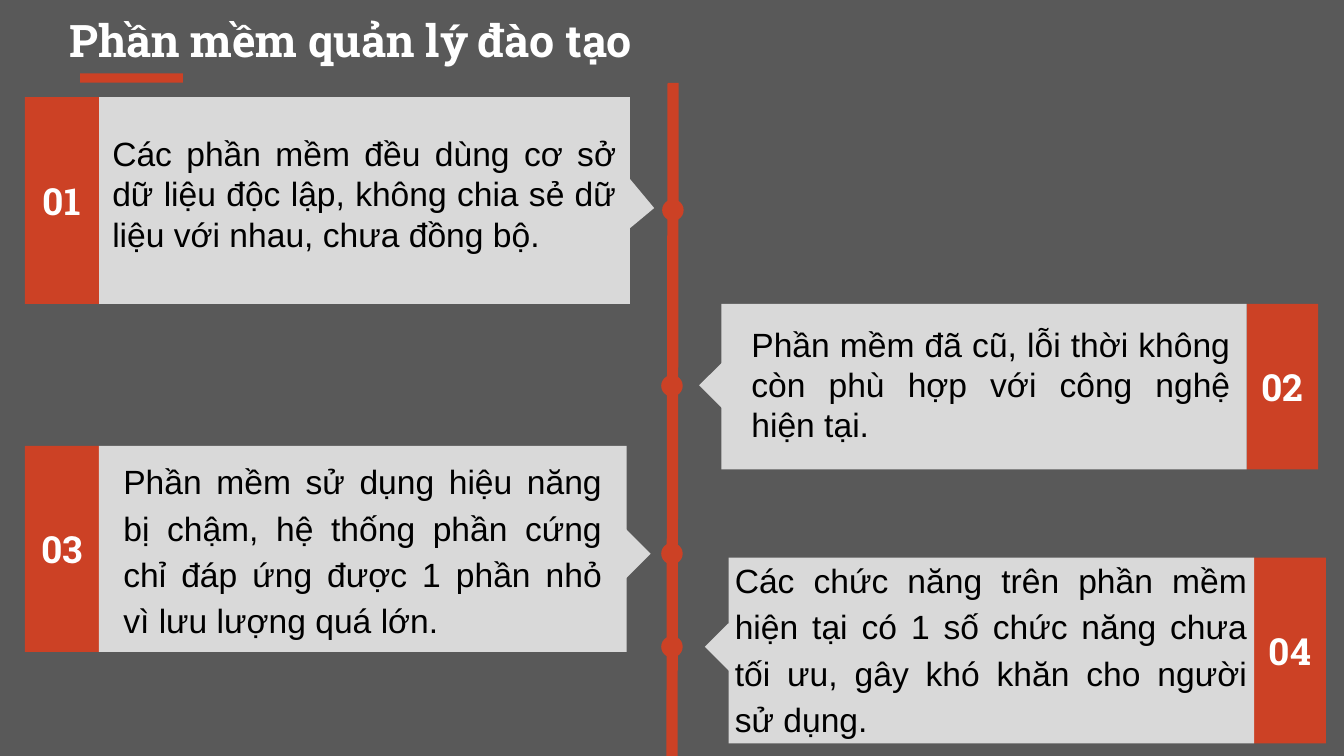
"""Build a timeline slide about training management software."""
from lxml.etree import SubElement
from pptx import Presentation
from pptx.dml.color import RGBColor
from pptx.enum.shapes import MSO_CONNECTOR as Conn, MSO_SHAPE as Kind
from pptx.enum.text import MSO_ANCHOR as Anchor, PP_ALIGN as Align
from pptx.oxml.ns import qn
from pptx.util import Pt

COLORS = {"back": "595959", "accent": "CC4125", "panel": "D9D9D9",
          "light": "FFFFFF", "dark": "000000"}
SLAB, SANS = "Roboto Slab", "Arial"
TITLE = "Phần mềm quản lý đào tạo"
CARDS = [
    {"num": "01", "side": "left", "box": (13.3, 52, 324.2, 110.8), "band": 39.8,
     "tip": (322.6, 98.4, 25.2, 18.7), "turn": 230.2,
     "area": (53.1, 52.1, 284.2, 103), "lead": None, "inset": 7.2,
     "text": "Các phần mềm đều dùng cơ sở dữ liệu độc lập, không chia sẻ dữ liệu với nhau, chưa đồng bộ."},
    {"num": "02", "side": "right", "box": (386.4, 162.8, 319.8, 88.7), "band": 38.3,
     "tip": (378, 198.2, 20.2, 18), "turn": 45,
     "area": (395.5, 178.4, 270.7, 54.7), "lead": None, "inset": 7.2,
     "text": "Phần mềm đã cũ, lỗi thời không còn phù hợp với công nghệ hiện tại."},
    {"num": "03", "side": "left", "box": (13.3, 238.9, 322.4, 110.4), "band": 39.7,
     "tip": (320.4, 285, 25.2, 18.7), "turn": 225,
     "area": (59, 246.4, 275, 94.3), "lead": 1.15, "inset": 11.5,
     "text": "Phần mềm sử dụng hiệu năng bị chậm, hệ thống phần cứng chỉ đáp ứng được 1 phần nhỏ vì lưu lượng quá lớn."},
    {"num": "04", "side": "right", "box": (390.4, 298.8, 320, 99.5), "band": 38.5,
     "tip": (380.6, 339.3, 23, 18), "turn": 45,
     "area": (386.6, 318.2, 293, 56.2), "lead": 1.15, "inset": 11.5,
     "text": "Các chức năng trên phần mềm hiện tại có 1 số chức năng chưa tối ưu, gây khó khăn cho người sử dụng."},
]
DOT = 11.5
DOTS = [(360.5, 112.6), (360, 206.7), (360, 296.6), (360, 346.5)]


def color(name):
    return RGBColor.from_string(COLORS[name])


def draw(parent, kind, box, fill, turn=0):
    shape = parent.shapes.add_shape(kind, *map(Pt, box))
    shape.shadow.inherit = False
    shape.fill.solid()
    shape.fill.fore_color.rgb = color(fill)
    shape.line.fill.background()
    shape.rotation = turn
    return shape


def write(shape, text, font, size, tint, align=Align.LEFT, bold=False,
          lead=None, inset=7.2):
    frame = shape.text_frame
    frame.word_wrap = True
    frame.vertical_anchor = Anchor.MIDDLE
    frame.margin_left = frame.margin_top = frame.margin_bottom = Pt(7.2)
    frame.margin_right = Pt(inset)
    para = frame.paragraphs[0]
    para.alignment = align
    if lead:
        para.line_spacing = lead
    run = para.add_run()
    run.text = text
    run.font.name, run.font.size, run.font.bold = font, Pt(size), bold
    run.font.color.rgb = color(tint)


def label(parent, box, *args, **style):
    write(parent.shapes.add_textbox(*map(Pt, box)), *args, **style)


def add_card(slide, card):
    left, top, width, height = card["box"]
    band = card["band"]
    if card["side"] == "left":
        tab_x, panel_x = left, left + band
    else:
        tab_x, panel_x = left + width - band, left
    group = slide.shapes.add_group_shape()
    tab = draw(group, Kind.RECTANGLE, (tab_x, top, band, height), "accent")
    write(tab, card["num"], SLAB, 20, "light", Align.CENTER, True)
    draw(group, Kind.RECTANGLE, (panel_x, top, width - band, height), "panel")
    draw(group, Kind.RIGHT_TRIANGLE, card["tip"], "panel", card["turn"])
    label(group, card["area"], card["text"], SANS, 18, "dark",
          align=Align.JUSTIFY, lead=card["lead"], inset=card["inset"])


def main():
    deck = Presentation()
    deck.slide_width, deck.slide_height = Pt(720), Pt(405)
    slide = deck.slides.add_slide(deck.slide_layouts[6])
    slide.background.fill.solid()
    slide.background.fill.fore_color.rgb = color("back")

    draw(slide, Kind.RECTANGLE, (43, 39.3, 55, 5), "accent")
    label(slide, (30, -1, 325, 44.6), TITLE, SLAB, 24, "light", bold=True)
    axis = slide.shapes.add_connector(
        Conn.STRAIGHT, Pt(360.6), Pt(44.4), Pt(360), Pt(405))
    axis.line.color.rgb, axis.line.width = color("accent"), Pt(6)
    SubElement(axis._element.spPr, qn("a:effectLst"))
    for x, y in DOTS:
        draw(slide, Kind.OVAL, (x - DOT / 2, y - DOT / 2, DOT, DOT), "accent")
    for card in CARDS:
        add_card(slide, card)
    deck.save("out.pptx")


if __name__ == "__main__":
    main()
